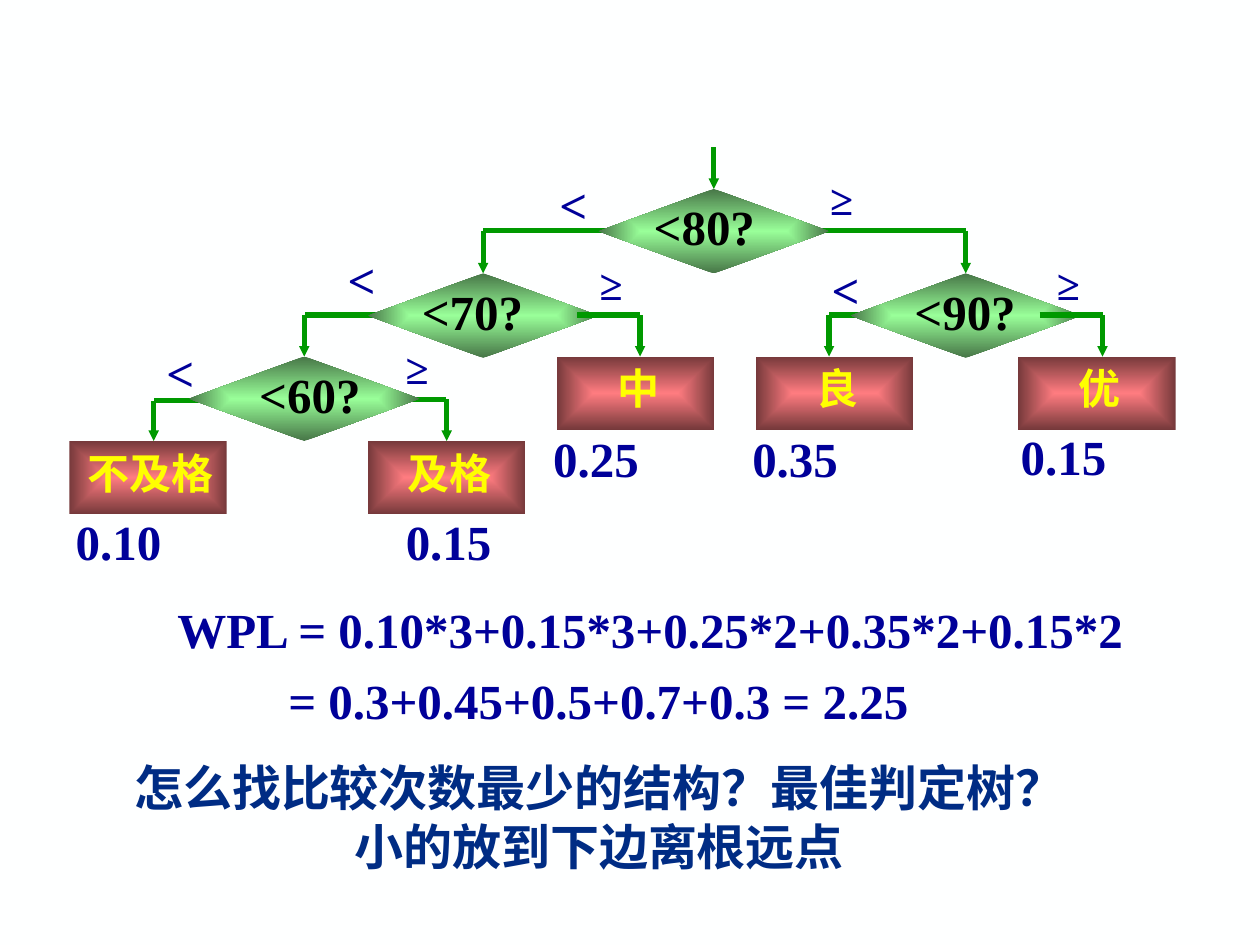
import lxml.etree
import pptx
import pptx.dml.color
import pptx.enum.shapes
import pptx.enum.text
import pptx.oxml.ns
import pptx.util
from dataclasses import dataclass

Inches = pptx.util.Inches
Pt = pptx.util.Pt
qn = pptx.oxml.ns.qn
SHAPES = pptx.enum.shapes.MSO_SHAPE
ALIGN = pptx.enum.text.PP_ALIGN


@dataclass(frozen=True)
class Theme:
    font: str = "Times New Roman"
    background: str = "FEFFFF"
    branch: str = "009900"
    decision: tuple = ("99FF99", "477647")
    leaf: tuple = ("FF7C80", "76393B")
    leaf_text: str = "FFFF00"
    decision_text: str = "000000"
    value: str = "000099"
    question: str = "002C84"
    large: int = 28
    medium: int = 24
    branch_width: int = 3


THEME = Theme()

DECISION_SIZE = (1.83, 0.67)
DECISIONS = [
    ("<60?", 1.5, 2.83, 0.46),
    ("<70?", 2.92, 2.17, 0.33),
    ("<80?", 4.75, 1.5, 0.34),
    ("<90?", 6.75, 2.17, 0.41),
]

LEAF_SIZE = (1.25, 0.58)
LEAVES = [
    ("不及格", 0.55, 3.5),
    ("及格", 2.92, 3.5),
    ("中", 4.42, 2.83),
    ("良", 6, 2.83),
    ("优", 8.08, 2.83),
]

PROBABILITIES = [
    ("0.10", 0.5, 4.01),
    ("0.15", 3.12, 4.01),
    ("0.25", 4.29, 3.35),
    ("0.35", 5.87, 3.35),
    ("0.15", 8, 3.33),
]

LESS_MARKS = [(6.5, 2.01), (4.34, 1.33), (1.22, 2.67), (2.66, 1.93)]
GREATER_MARKS = [(3.12, 2.67), (4.66, 2), (6.49, 1.33), (8.29, 2)]

BRANCHES_BEHIND = [
    (6.92, 6.58, 2.5, "良"),
    (6.5, 7.67, 1.83, "<90?"),
    (3.04, 3.54, 3.17, "及格"),
    (3.08, 2.42, 2.5, "<60?"),
    (4.83, 3.83, 1.83, "<70?"),
    (1.72, 1.22, 3.18, "不及格"),
]
BRANCHES_IN_FRONT = [
    (4.58, 5.08, 2.5, "中"),
    (8.25, 8.75, 2.5, "优"),
]
ROOT_ARROW = (5.67, 1.17, "<80?")
CENTRED_TARGETS = {"<60?", "<70?", "<80?", "<90?", "及格"}

WEIGHTED_PATH = [
    "WPL = 0.10*3+0.15*3+0.25*2+0.35*2+0.15*2",
    "= 0.3+0.45+0.5+0.7+0.3 = 2.25",
]
QUESTION = ["怎么找比较次数最少的结构？最佳判定树？", "小的放到下边离根远点"]


def color(value):
    return pptx.dml.color.RGBColor.from_string(value)


def add_line(slide, start, end, arrow=False):
    line = slide.shapes.add_connector(
        pptx.enum.shapes.MSO_CONNECTOR.STRAIGHT,
        *(Inches(length) for length in (*start, *end)))
    line.line.color.rgb = color(THEME.branch)
    line.line.width = Pt(THEME.branch_width)
    properties = line._element.spPr
    if arrow:
        lxml.etree.SubElement(properties.find(qn("a:ln")), qn("a:tailEnd"),
                              type="triangle", w="sm", len="sm")
    lxml.etree.SubElement(properties, qn("a:effectLst"))
    return line


def add_node(slide, preset, left, top, size, colors):
    shape = slide.shapes.add_shape(
        preset, *(Inches(length) for length in (left, top, *size)))
    shape.shadow.inherit = False
    shape.line.fill.background()
    shape.fill.gradient()
    for stop, position, value in zip(shape.fill.gradient_stops, (0, 1), colors):
        stop.position = position
        stop.color.rgb = color(value)
    gradient = shape._element.spPr.find(qn("a:gradFill"))
    gradient.remove(gradient.find(qn("a:lin")))
    centre = lxml.etree.SubElement(gradient, qn("a:path"), path="rect")
    lxml.etree.SubElement(centre, qn("a:fillToRect"),
                          {side: "50000" for side in "ltrb"})
    return shape


def add_text(slide, lines, box, size, value, align=ALIGN.CENTER, wrap=False,
             before=0, margin=0.02):
    shape = slide.shapes.add_textbox(*(Inches(length) for length in box))
    frame = shape.text_frame
    frame.text = "\n".join(lines)
    frame.word_wrap = wrap
    frame.margin_left = frame.margin_right = Inches(margin)
    frame.auto_size = pptx.enum.text.MSO_AUTO_SIZE.SHAPE_TO_FIT_TEXT
    frame.vertical_anchor = pptx.enum.text.MSO_ANCHOR.MIDDLE
    for paragraph in frame.paragraphs:
        paragraph.alignment = align
        paragraph.space_before = Pt(before)
        for run in paragraph.runs:
            run.font.name = THEME.font
            run.font.size = Pt(size)
            run.font.bold = True
            run.font.color.rgb = color(value)
    return frame


def add_drop(slide, x, y, target, nodes):
    shape = nodes[target]
    centred = target in CENTRED_TARGETS
    if centred:
        x = shape.left.inches + shape.width.inches / 2
    arrow = add_line(slide, (x, y), (x, shape.top.inches), arrow=True)
    if centred:
        arrow.end_connect(shape, 0)


def main():
    presentation = pptx.Presentation()
    presentation.slide_width = Inches(10)
    presentation.slide_height = Inches(7.5)
    slide = presentation.slides.add_slide(presentation.slide_layouts[6])
    slide.background.fill.solid()
    slide.background.fill.fore_color.rgb = color(THEME.background)

    for start, end, y, target in BRANCHES_BEHIND:
        add_line(slide, (start, y), (end, y))

    nodes = {}
    for text, left, top, inset in DECISIONS:
        nodes[text] = add_node(slide, SHAPES.FLOWCHART_DECISION, left, top,
                               DECISION_SIZE, THEME.decision)
    for text, left, top in LEAVES:
        nodes[text] = add_node(slide, SHAPES.RECTANGLE, left, top, LEAF_SIZE, THEME.leaf)

    for start, end, y, target in BRANCHES_IN_FRONT:
        add_line(slide, (start, y), (end, y))
    for start, end, y, target in BRANCHES_BEHIND + BRANCHES_IN_FRONT:
        add_drop(slide, end, y, target, nodes)
    add_drop(slide, *ROOT_ARROW, nodes)

    for text, left, top, inset in DECISIONS:
        add_text(slide, [text], (left + inset, top + 0.01, 1, 0.57),
                 THEME.large, THEME.decision_text)
    for text, left, top in LEAVES:
        width = 0.2 + 0.33 * len(text)
        text_left = left + (LEAF_SIZE[0] - width) / 2 + 0.02
        add_text(slide, [text], (text_left, top, width, 0.5), THEME.medium, THEME.leaf_text)
    for text, left, top in PROBABILITIES:
        add_text(slide, [text], (left, top, 0.88, 0.57), THEME.large, THEME.value)
    for left, top in GREATER_MARKS:
        add_text(slide, ["≥"], (left, top, 0.38, 0.5), THEME.medium, THEME.value)
    for left, top in LESS_MARKS:
        add_text(slide, ["<"], (left, top, 0.42, 0.57), THEME.large, THEME.value)

    formula = add_text(slide, WEIGHTED_PATH, (1.31, 4.71, 7.72, 1.13), THEME.large,
                       THEME.value, align=ALIGN.LEFT, before=7, margin=0.1)
    formula.paragraphs[1]._p.get_or_add_pPr().set("marL", str(Inches(0.88)))
    add_text(slide, QUESTION, (0.02, 5.96, 9.47, 1.04), THEME.large, THEME.question,
             wrap=True, margin=0.1)

    presentation.save("out.pptx")


if __name__ == "__main__":
    main()
